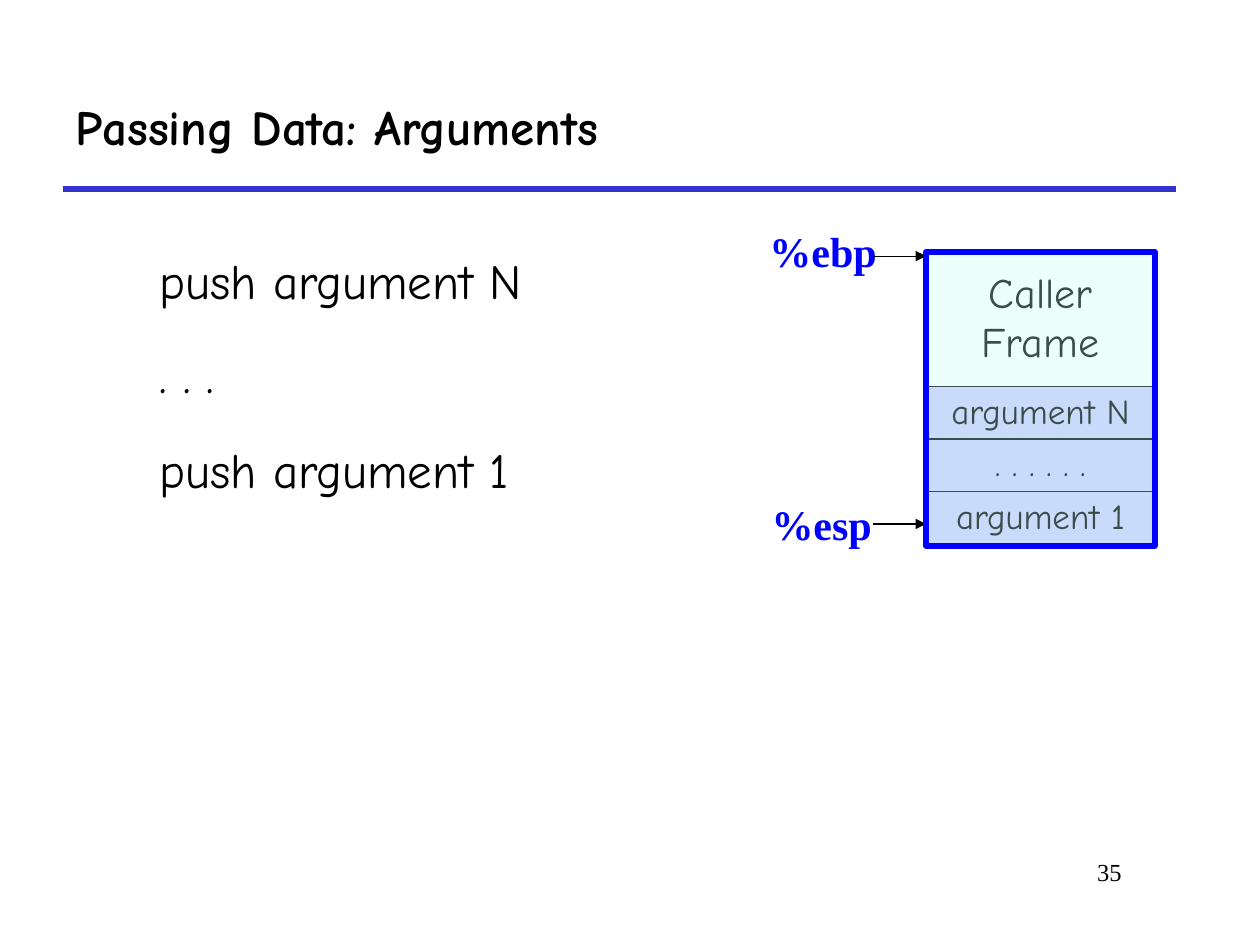
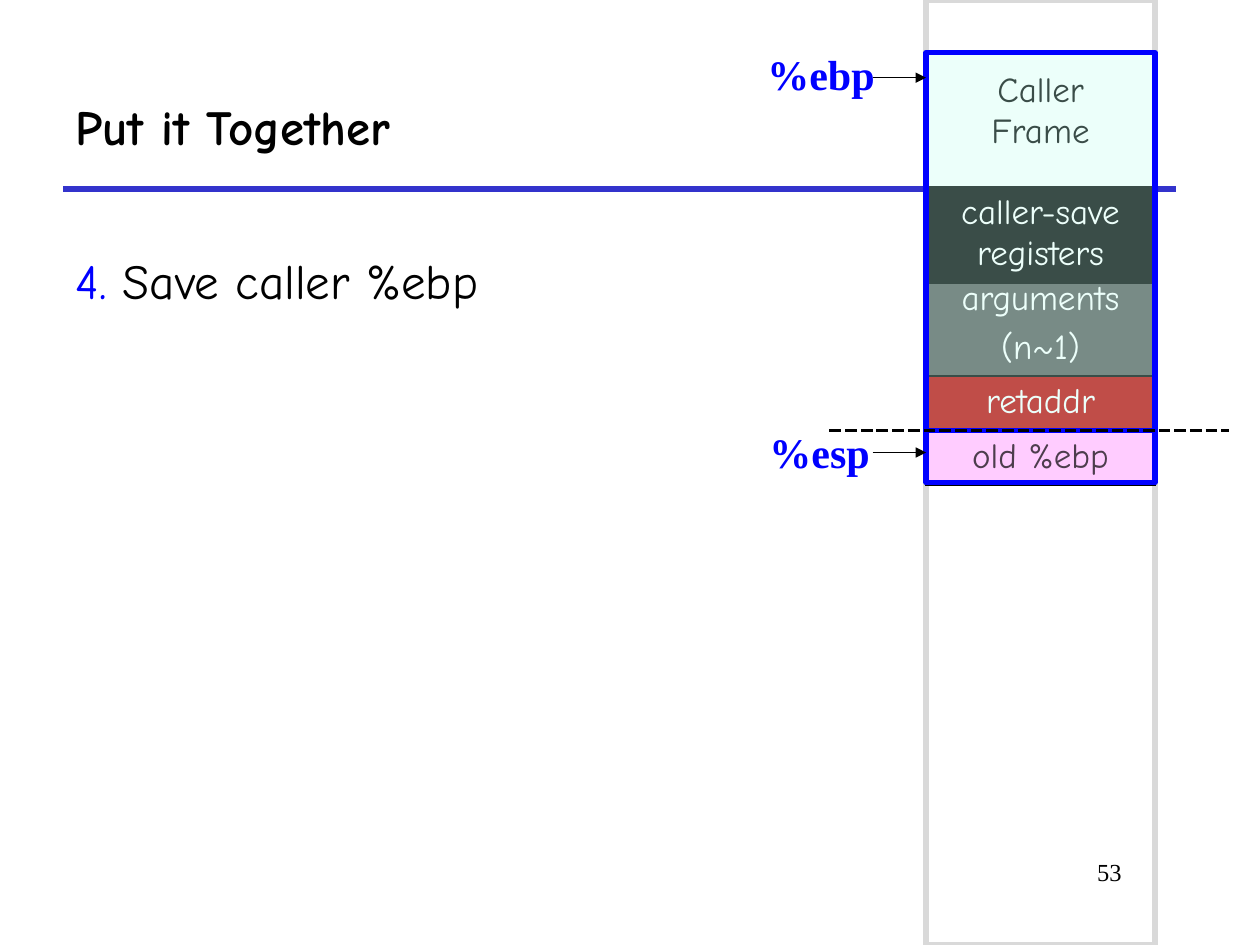
from lxml import etree
from pptx import Presentation, util as u
from pptx.dml.color import RGBColor
from pptx.enum import dml, shapes, text
from pptx.oxml.ns import qn

# Shared style
HAND, SERIF = "Comic Neue", "Times New Roman"
BLACK, WHITE, BLUE, RULE = "000000", "FFFFFF", "0000FF", "3333CC"
GREY, MINT, PINK, LILAC = "D9D9D9", "C2FFF0", "FFCCFF", "CCCCFF"
DARK, RED = "595959", "C00000"

# Grid: 12 units to the inch, so a slide is 120 columns by 90 rows
COLS, ROWS = 120, 90
STACK_X, STACK_W, CELL_H = 88.2, 21.8, 5.2


def g(n):
    return u.Inches(n / 12)


def rgb(code):
    return RGBColor.from_string(code)


def style(p, size, color=None, font=HAND, bold=False, align=None):
    f = p.font
    f.name, f.size, f.bold = font, u.Pt(size), bold
    if color:
        f.color.rgb = rgb(color)
    p.alignment = align


def text_box(s, x, y, w, h, anchor=text.MSO_ANCHOR.TOP, wrap=True):
    tf = s.shapes.add_textbox(g(x), g(y), g(w), g(h)).text_frame
    tf.word_wrap, tf.vertical_anchor = wrap, anchor
    return tf


def line(s, x1, y1, x2, y2, color=BLACK, width=0.75, arrow=False, dash=None):
    c = s.shapes.add_connector(shapes.MSO_CONNECTOR.STRAIGHT, g(x1), g(y1), g(x2), g(y2))
    c.line.color.rgb, c.line.width = rgb(color), u.Pt(width)
    if dash:
        c.line.dash_style = dash
    if arrow:
        etree.SubElement(c.line._get_or_add_ln(), qn("a:tailEnd"), type="triangle")
    etree.SubElement(c._element.spPr, qn("a:effectLst"))


def outline(s, y, h, color, fill=None):
    """Outlined part of the stack, with a tint that lets 70% through."""
    sp = s.shapes.add_shape(shapes.MSO_SHAPE.RECTANGLE, g(STACK_X), g(y), g(STACK_W), g(h))
    sp.shadow.inherit = False
    sp.line.color.rgb, sp.line.width = rgb(color), u.Pt(3)
    if fill:
        sp.fill.solid()
        sp.fill.fore_color.rgb = rgb(fill)
        clr = sp._element.spPr.find(qn("a:solidFill"))[0]
        etree.SubElement(clr, qn("a:alpha"), val="30000")
    else:
        sp.fill.background()


def borders(cell):
    tc_pr = cell._tc.get_or_add_tcPr()
    for side in "LRTB":
        ln = etree.SubElement(tc_pr, qn(f"a:ln{side}"), w=str(u.Pt(1.08)))
        fill = etree.SubElement(ln, qn("a:solidFill"))
        etree.SubElement(fill, qn("a:srgbClr"), val=BLACK)


def stack_cell(s, y, h, lines, fill=None, color=BLACK, size=20, top=0.05):
    """One-cell table in the stack column."""
    table = s.shapes.add_table(1, 1, g(STACK_X), g(y), g(STACK_W), g(h)).table
    table.first_row = table.horz_banding = False
    cell = table.cell(0, 0)
    borders(cell)
    if fill:
        cell.fill.solid()
        cell.fill.fore_color.rgb = rgb(fill)
    else:
        cell.fill.background()
    cell.margin_top = u.Inches(top)
    tf = cell.text_frame
    for i, words in enumerate(lines):
        p = tf.add_paragraph() if i else tf.paragraphs[0]
        p.text = words
        if i:
            p.space_before = u.Pt(5)
        style(p, size, color, align=text.PP_ALIGN.CENTER)


def caller_frame(s, y, h, size):
    stack_cell(s, y, h, ["Caller\vFrame"], size=size, top=0.15)
    outline(s, y, h, BLUE, MINT)


def register(s, name, x, y, arrow_y):
    """Register name with an arrow into the stack."""
    p = text_box(s, x, y, 12.6, 6, wrap=False).paragraphs[0]
    p.text = name
    style(p, 24, BLUE, SERIF, bold=True)
    line(s, 83.1, arrow_y, STACK_X, arrow_y, arrow=True)


def base_slide(prs, title, number):
    s = prs.slides.add_slide(prs.slide_layouts[6])
    line(s, 6, 18, 112, 18, RULE, 3)
    p = text_box(s, 6, 6, 106, 12, text.MSO_ANCHOR.MIDDLE).paragraphs[0]
    p.text = title
    style(p, 28, BLACK, bold=True)
    p = text_box(s, 91, 81, 17, 6).paragraphs[0]
    p.text = str(number)
    style(p, 14, BLACK, SERIF, align=text.PP_ALIGN.RIGHT)
    return s


def body(s, x, w, paragraphs):
    """Each paragraph is a list of (words, colour) runs."""
    tf = text_box(s, x, 21, w, 58)
    for i, runs in enumerate(paragraphs):
        p = tf.add_paragraph() if i else tf.paragraphs[0]
        p.line_spacing = 1.4
        if i:
            p.space_before = u.Pt(7)
        style(p, 28)
        for words, color in runs:
            r = p.add_run()
            r.text = words
            r.font.color.rgb = rgb(color)


def arguments_slide(prs):
    s = base_slide(prs, "Passing Data: Arguments", 35)
    body(s, 14, 102, [[(words, BLACK)] for words in
                      ("push argument N", ". . .", "push argument 1")])
    # Pushed arguments, last one lowest
    for i, words in enumerate(("argument N", ". . . . . .", "argument 1")):
        stack_cell(s, 36.8 + 5 * i, CELL_H, [words], LILAC)
    register(s, "%ebp", 72.1, 20.9, 24.4)
    register(s, "%esp", 72.3, 46.9, 49.9)
    caller_frame(s, 24, 28, 24)


def together_slide(prs):
    s = base_slide(prs, "Put it Together", 53)
    body(s, 6, 111, [[("4. ", BLUE), ("Save caller %ebp", BLACK)]])
    # Whole stack, then its contents
    outline(s, 0, ROWS, GREY)
    stack_cell(s, 26, 10, ["arguments", "(n~1)"], DARK, WHITE)
    stack_cell(s, 17.8, 9.2, ["caller-save registers"], BLACK, WHITE)
    stack_cell(s, 41, CELL_H, ["old %ebp"], PINK)
    stack_cell(s, 35.8, CELL_H, ["retaddr"], RED, WHITE)
    caller_frame(s, 5, 36, 20)
    outline(s, 41, 5, BLUE, PINK)
    # Border between caller and callee
    line(s, 79, 41, 117, 41, width=2.25, dash=dml.MSO_LINE.SQUARE_DOT)
    register(s, "%ebp", 71.9, 4, 7.4)
    register(s, "%esp", 72.1, 40, 43.1)


def main():
    prs = Presentation()
    prs.slide_width, prs.slide_height = g(COLS), g(ROWS)
    arguments_slide(prs)
    together_slide(prs)
    prs.save("out.pptx")


if __name__ == "__main__":
    main()
